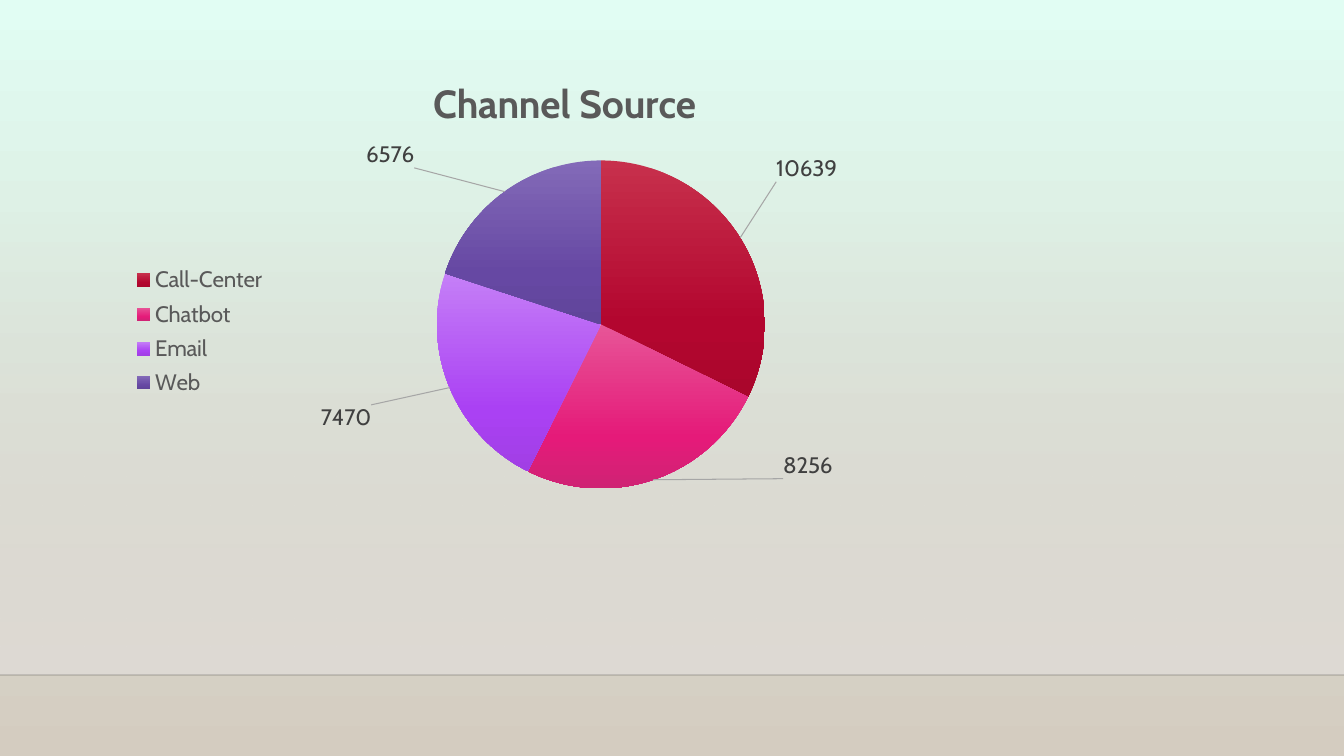
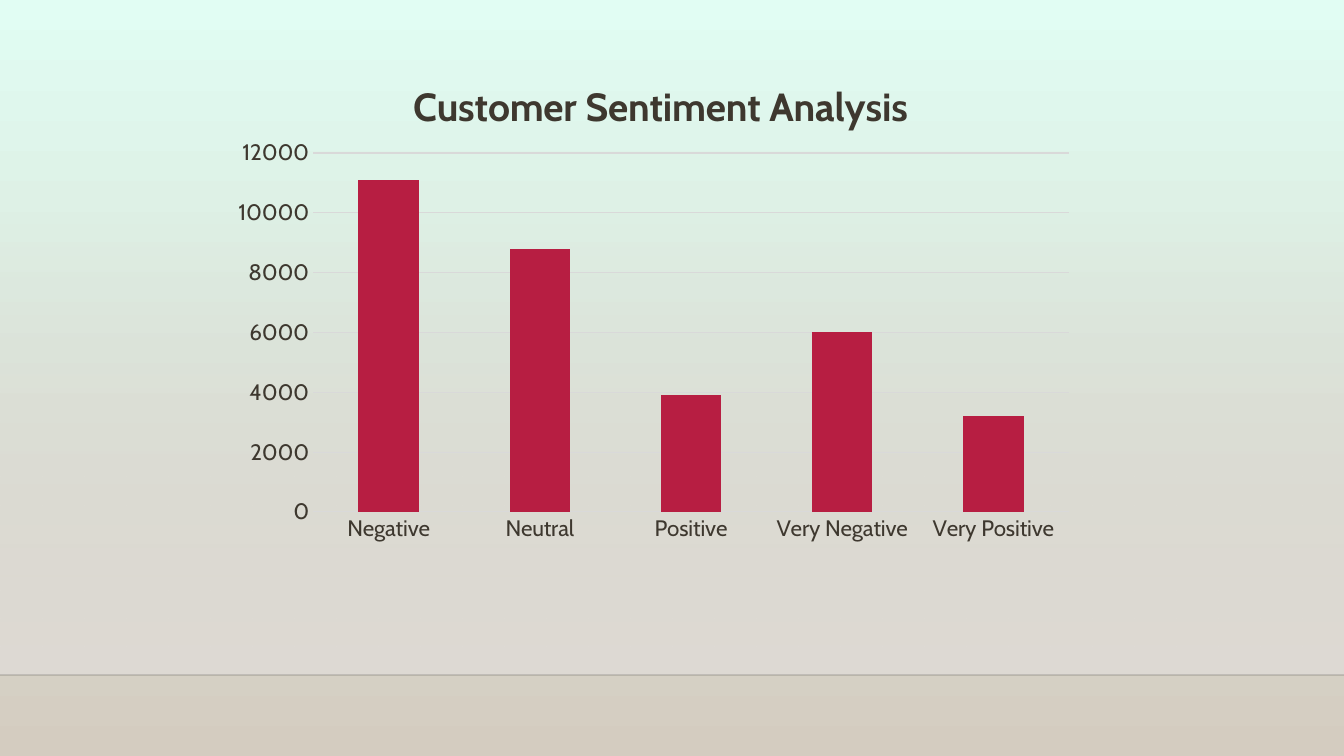
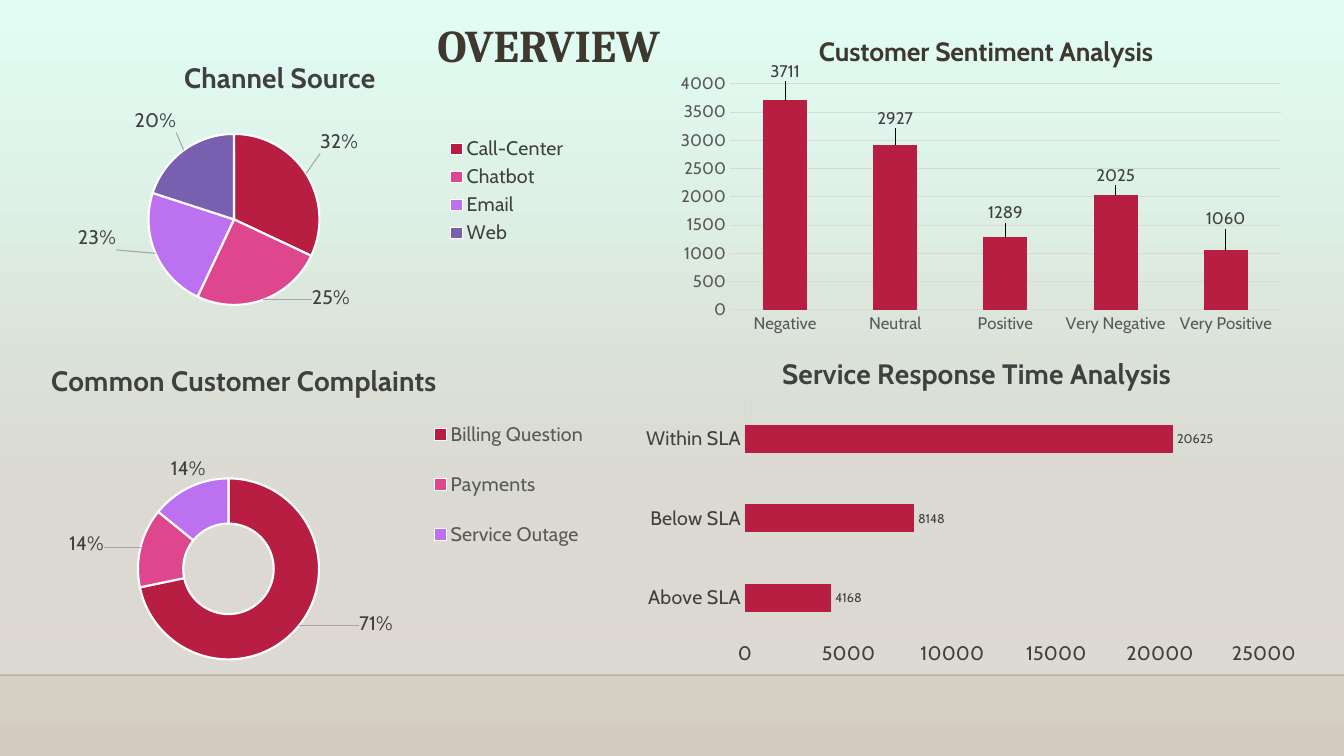
from copy import deepcopy

from pptx import Presentation
from pptx.chart.data import CategoryChartData
from pptx.dml.color import RGBColor
from pptx.enum.chart import (XL_CHART_TYPE, XL_LABEL_POSITION,
                             XL_LEGEND_POSITION, XL_TICK_MARK)
from pptx.enum.shapes import MSO_CONNECTOR, MSO_SHAPE
from pptx.enum.text import MSO_ANCHOR, PP_ALIGN
from pptx.oxml import parse_xml
from pptx.oxml.ns import nsdecls, qn
from pptx.util import Emu, Pt

PIE = XL_CHART_TYPE.PIE
DOUGHNUT = XL_CHART_TYPE.DOUGHNUT
COLUMN = XL_CHART_TYPE.COLUMN_CLUSTERED
BAR = XL_CHART_TYPE.BAR_CLUSTERED
OUTSIDE_END = XL_LABEL_POSITION.OUTSIDE_END
LEGEND_RIGHT = XL_LEGEND_POSITION.RIGHT
NO_TICK = XL_TICK_MARK.NONE
CENTER = PP_ALIGN.CENTER
MIDDLE = MSO_ANCHOR.MIDDLE
RECTANGLE = MSO_SHAPE.RECTANGLE
STRAIGHT = MSO_CONNECTOR.STRAIGHT

SLIDE_WIDTH, SLIDE_HEIGHT = 1344, 756
FLOOR_TOP = 675
BODY_FONT, HEADING_FONT = "Cabin", "Cambria"
INK, DARK, GRAY, PALE = "3E382F", "404040", "595959", "D9D9D9"
CRIMSON = "B71E42"
SLICES = [CRIMSON, "DE478E", "BC72F0", "795FAF"]
GLOSSY_SLICES = [
    [(0, "C7304C"), (69, "B3062F"), (100, "AA062C")],
    [(0, "E75597"), (69, "E51A79"), (100, "CF2374")],
    [(0, "C57FF7"), (69, "AA41F3"), (100, "A13FE5")],
    [(0, "836AB8"), (69, "6648A3"), (100, "60459A")],
]
CHANNELS = ["Call-Center", "Chatbot", "Email", "Web"]
SENTIMENTS = ["Negative", "Neutral", "Positive", "Very Negative", "Very Positive"]


def px(length):
    return Emu(round(length * 914400 / 100.8))


def rgb(color):
    return RGBColor.from_string(color)


def style_font(font, size, color, bold=False, name=BODY_FONT):
    font.name = name
    font.size = Pt(size)
    font.bold = bold
    font.color.rgb = rgb(color)


def write_text(paragraph, text, **style):
    run = paragraph.add_run()
    run.text = text
    style_font(run.font, **style)


def add_alpha(color_element, percent):
    color_element.append(parse_xml(
        f'<a:alpha {nsdecls("a")} val="{percent * 1000}"/>'))


def paint_gradient(fill, holder, stops):
    """Fill from top to bottom; holder is the element that contains the fill."""
    fill.background()
    no_fill = holder.find(".//" + qn("a:noFill"))
    stop_xml = "".join(
        f'<a:gs pos="{position * 1000}"><a:srgbClr val="{color}"/></a:gs>'
        for position, color in stops)
    gradient = parse_xml(
        f'<a:gradFill {nsdecls("a")} rotWithShape="1"><a:gsLst>{stop_xml}</a:gsLst>'
        '<a:lin ang="5400000" scaled="0"/></a:gradFill>')
    no_fill.getparent().replace(no_fill, gradient)
    return gradient


# Shared backdrop
def add_backdrop(slide):
    wall = slide.shapes.add_shape(
        RECTANGLE, 0, px(223), px(SLIDE_WIDTH), px(FLOOR_TOP - 223))
    wall.shadow.inherit = False
    wall.line.fill.background()
    gradient = paint_gradient(wall.fill, wall.element,
                              [(0, "DFDBD5"), (100, "DFDBD5")])
    add_alpha(gradient.find(".//" + qn("a:srgbClr")), 0)

    edge = slide.shapes.add_connector(
        STRAIGHT, 0, px(FLOOR_TOP), px(SLIDE_WIDTH), px(FLOOR_TOP))
    edge.line.width = Pt(1)
    edge.line.color.rgb = rgb("000001")
    add_alpha(edge.element.find(".//" + qn("a:srgbClr")), 20)
    edge.element.spPr.append(parse_xml(f'<a:effectLst {nsdecls("a")}/>'))


# Chart parts, placed in px relative to the chart's box
def set_layout(parent, box, after=None, inner=False, offset=None, area=()):
    """Place a part at an area, or move a label by an offset."""
    for old in parent.findall(qn("c:layout")):
        parent.remove(old)
    parts = '<c:layoutTarget val="inner"/>' if inner else ""
    if offset is None:
        parts += '<c:xMode val="edge"/><c:yMode val="edge"/>'
    lengths = offset or area
    for tag, length, whole in zip("xywh", lengths, (box[2], box[3]) * 2):
        parts += f'<c:{tag} val="{length / whole:.4f}"/>'
    index = parent.index(parent.find(qn(after))) + 1 if after else 0
    parent.insert(index, parse_xml(
        f'<c:layout {nsdecls("c")}><c:manualLayout>{parts}</c:manualLayout></c:layout>'))


def add_chart(slide, kind, box, categories, values, plot_area,
              title, title_at, title_size, title_color=DARK):
    data = CategoryChartData()
    data.categories = categories
    data.add_series("Series 1", values)
    chart = slide.shapes.add_chart(kind, *map(px, box), data).chart
    style_font(chart.font, 10, "000000")
    chart.has_legend = False
    chart.has_title = True
    write_text(chart.chart_title.text_frame.paragraphs[0], title,
               size=title_size, color=title_color, bold=True)
    set_layout(chart.element.xpath("//c:chart/c:title")[0], box,
               after="c:tx", area=title_at)
    set_layout(chart.element.xpath("//c:plotArea")[0], box,
               inner=True, area=plot_area)
    return chart


def add_labels(chart, box, size, offsets=(), percent=False,
               number_format=None, position=OUTSIDE_END, leaders=False):
    labels = chart.plots[0].series[0].data_labels
    style_font(labels.font, size, DARK)
    labels.show_value = not percent
    labels.show_percentage = percent
    if number_format:
        labels.number_format = number_format
        labels.number_format_is_linked = False
    if position is not None:
        labels.position = position
    holder = chart.element.xpath("//c:ser/c:dLbls")[0]
    for old in holder.findall(qn("c:showLeaderLines")):
        holder.remove(old)
    shared_settings = list(holder)
    for index, offset in enumerate(offsets):
        label = parse_xml(f'<c:dLbl {nsdecls("c")}><c:idx val="{index}"/></c:dLbl>')
        set_layout(label, box, after="c:idx", offset=offset)
        label.extend(deepcopy(setting) for setting in shared_settings)
        holder.insert(index, label)
    if leaders:
        holder.append(parse_xml(f'<c:showLeaderLines {nsdecls("c")} val="1"/>'))
        holder.append(parse_xml(
            f'<c:leaderLines {nsdecls("c", "a")}><c:spPr><a:ln w="9525"><a:solidFill>'
            '<a:srgbClr val="A6A6A6"/></a:solidFill></a:ln></c:spPr></c:leaderLines>'))


def add_round_chart(slide, kind, box, categories, values, plot_area, legend_area,
                    legend_size, legend_color, offsets, colors=SLICES,
                    percent=False, number_format=None, **title):
    chart = add_chart(slide, kind, box, categories, values, plot_area, **title)
    chart.has_legend = True
    chart.legend.position = LEGEND_RIGHT
    chart.legend.include_in_layout = False
    style_font(chart.legend.font, legend_size, legend_color)
    set_layout(chart.element.xpath("//c:legend")[0], box,
               after="c:legendPos", area=legend_area)
    series = chart.plots[0].series[0]
    for index, color in enumerate(colors[:len(categories)]):
        slice_format = series.points[index].format
        if isinstance(color, list):
            slice_format.fill.background()
            holder = chart.element.xpath(f"//c:dPt[c:idx/@val={index}]/c:spPr")[0]
            paint_gradient(slice_format.fill, holder, color)
            slice_format.line.fill.background()
        else:
            slice_format.fill.solid()
            slice_format.fill.fore_color.rgb = rgb(color)
            slice_format.line.color.rgb = rgb("FFFFFF")
            slice_format.line.width = Pt(1.5)
    add_labels(chart, box, legend_size, offsets, percent, number_format,
               OUTSIDE_END if kind == PIE else None, leaders=True)


def add_bar_chart(slide, kind, box, categories, values, plot_area, axis_size,
                  axis_color, maximum, step, gap=150, label_size=None,
                  offsets=(), **title):
    chart = add_chart(slide, kind, box, categories, values, plot_area, **title)
    plot = chart.plots[0]
    plot.vary_by_categories = False
    plot.gap_width = gap
    fill = plot.series[0].format.fill
    fill.solid()
    fill.fore_color.rgb = rgb(CRIMSON)
    for axis in (chart.category_axis, chart.value_axis):
        axis.major_tick_mark = axis.minor_tick_mark = NO_TICK
        axis.format.line.fill.background()
        style_font(axis.tick_labels.font, axis_size, axis_color)
    chart.value_axis.minimum_scale = 0
    chart.value_axis.maximum_scale = maximum
    chart.value_axis.major_unit = step
    chart.value_axis.has_major_gridlines = kind == COLUMN
    ruled = (chart.value_axis.major_gridlines if kind == COLUMN
             else chart.category_axis)
    ruled.format.line.color.rgb = rgb(PALE)
    ruled.format.line.width = Pt(0.75)
    if label_size:
        add_labels(chart, box, label_size, offsets)


# Slides
def build_channel_slide(slide):
    add_round_chart(
        slide, PIE, (100, 45, 1154, 485), CHANNELS, [10639, 8256, 7470, 6576],
        plot_area=(337, 115, 328, 329), legend_area=(27, 214, 145, 145),
        legend_size=16, legend_color=GRAY, colors=GLOSSY_SLICES,
        offsets=[(31, -53), (128, -33), (-73, 15), (-87, -19)],
        title="Channel Source", title_at=(326, 24), title_size=28, title_color=GRAY)


def build_sentiment_slide(slide):
    add_bar_chart(
        slide, COLUMN, (221, 44, 865, 508), SENTIMENTS,
        [11100, 8800, 3900, 6000, 3200], plot_area=(92, 109, 756, 359),
        axis_size=16, axis_color=INK, maximum=12000, step=2000,
        title="Customer Sentiment Analysis", title_at=(185, 28),
        title_size=28, title_color=INK)


def build_overview_slide(slide):
    heading = slide.shapes.add_textbox(0, px(12), px(1097), px(38))
    frame = heading.text_frame
    frame.word_wrap = True
    frame.vertical_anchor = MIDDLE
    paragraph = frame.paragraphs[0]
    paragraph.alignment = CENTER
    paragraph.line_spacing = 1.5
    write_text(paragraph, "OVERVIEW", size=32.4, color=INK, bold=True,
               name=HEADING_FONT)

    add_round_chart(
        slide, PIE, (19, 37, 558, 308), CHANNELS, [32, 25, 23, 20],
        plot_area=(129, 97, 172, 171), legend_area=(422, 96, 132, 116),
        legend_size=14, legend_color=DARK, percent=True,
        offsets=[(9, -17), (47, -20), (-34, -30), (-4, -13)],
        title="Channel Source", title_at=(160, 16), title_size=20)
    add_bar_chart(
        slide, COLUMN, (668, 8, 625, 332), SENTIMENTS,
        [3711, 2927, 1289, 2025, 1060], plot_area=(62, 76, 551, 226),
        axis_size=12, axis_color=GRAY, maximum=4000, step=500, label_size=12,
        offsets=[(0, -15), (0, -12), (0, -10), (0, -6), (0, -17)],
        title="Customer Sentiment Analysis", title_at=(146, 20),
        title_size=18.9, title_color=INK)
    add_round_chart(
        slide, DOUGHNUT, (0, 339, 664, 345),
        ["Billing Question", "Payments", "Service Outage"], [71, 14, 14],
        plot_area=(138, 139, 181, 182), legend_area=(425, 58, 168, 175),
        legend_size=14, legend_color=GRAY, number_format='0"%"',
        offsets=[(95, 12), (-76, -9), (-11, -39)],
        title="Common Customer Complaints", title_at=(46, 17), title_size=20)
    add_bar_chart(
        slide, BAR, (633, 329, 677, 345),
        ["Above SLA", "Below SLA", "Within SLA"], [4168, 8148, 20625],
        plot_area=(112, 70, 519, 239), axis_size=14, axis_color=DARK,
        maximum=25000, step=5000, gap=182, label_size=9,
        title="Service Response Time Analysis", title_at=(144, 20), title_size=20)


def main():
    presentation = Presentation()
    presentation.slide_width = px(SLIDE_WIDTH)
    presentation.slide_height = px(SLIDE_HEIGHT)
    master = presentation.slide_master
    paint_gradient(master.background.fill, master.element,
                   [(0, "E1FDF3"), (100, "D4CCC0")])
    for build in (build_channel_slide, build_sentiment_slide, build_overview_slide):
        slide = presentation.slides.add_slide(presentation.slide_layouts[6])
        add_backdrop(slide)
        build(slide)
    presentation.save("out.pptx")


if __name__ == "__main__":
    main()
